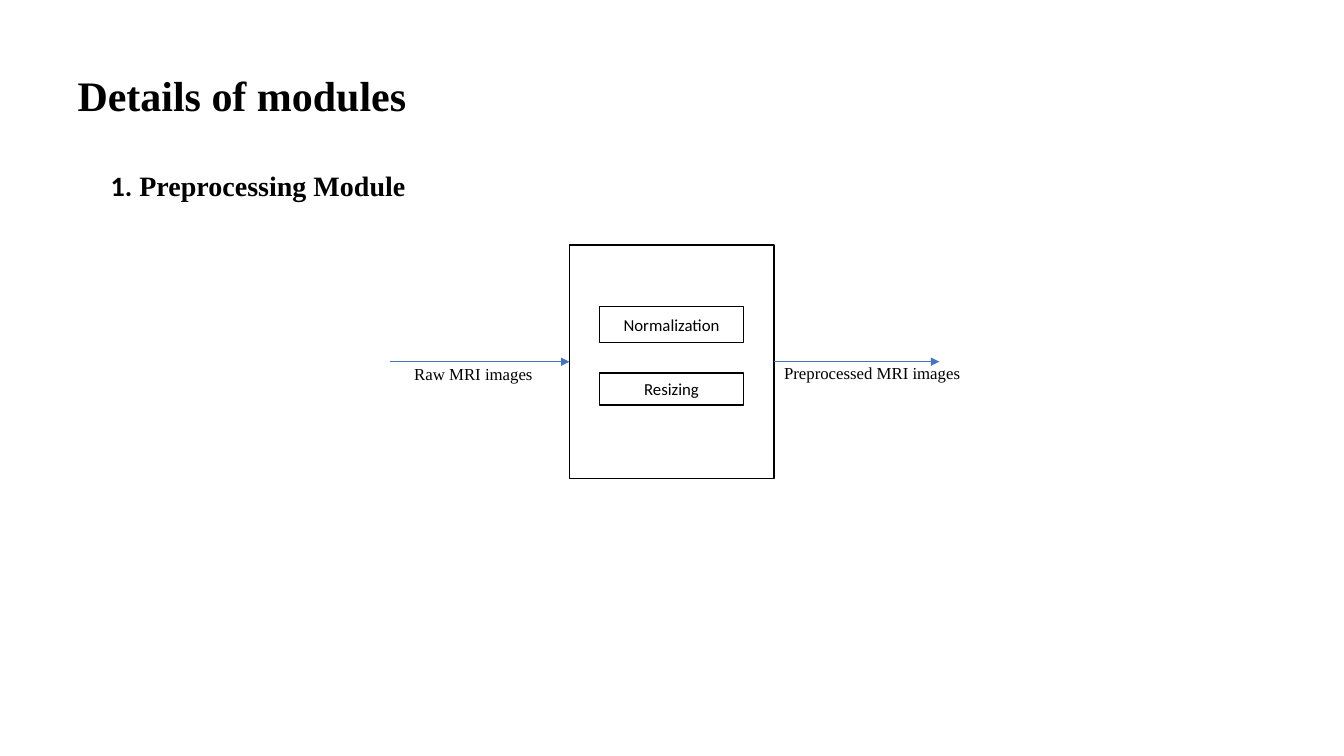
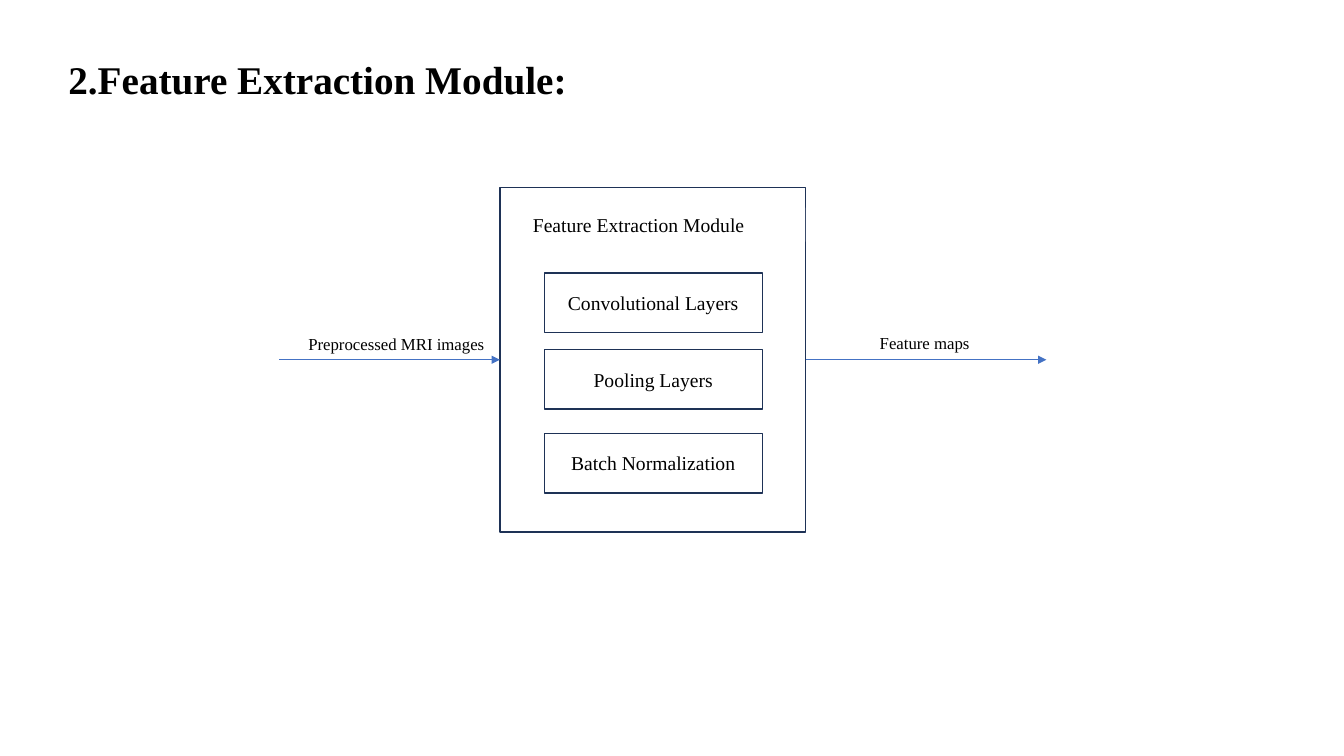
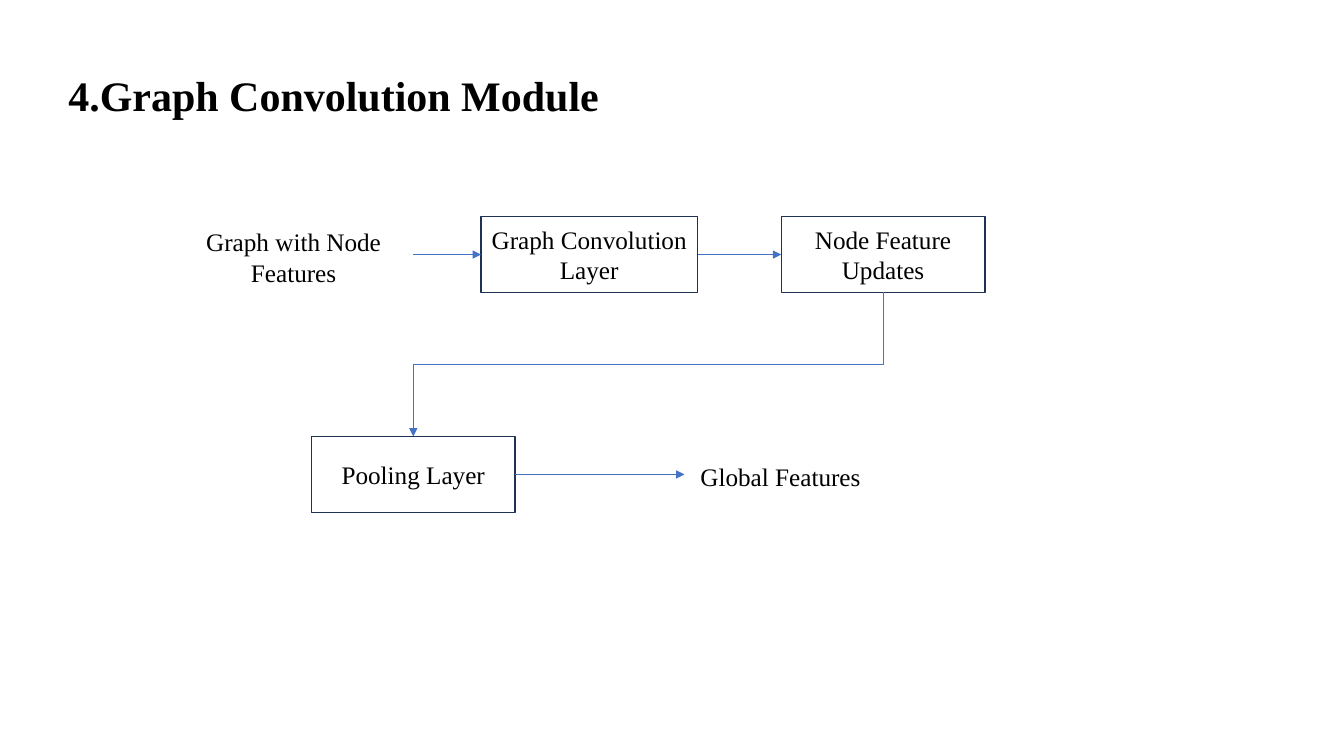
from lxml import etree
from pptx import Presentation
from pptx.dml.color import RGBColor
from pptx.enum import shapes, text as text_enum
from pptx.oxml import ns
from pptx.util import Cm, Pt

# Shared style
SERIF, SANS = "Times New Roman", "Calibri"
BLACK, WHITE, NAVY, BLUE = "000000", "FFFFFF", "1E3256", "4472C4"
LEFT, CENTER = text_enum.PP_ALIGN.LEFT, text_enum.PP_ALIGN.CENTER
TOP, MIDDLE = text_enum.MSO_ANCHOR.TOP, text_enum.MSO_ANCHOR.MIDDLE
SIDE_TOP, SIDE_LEFT, SIDE_BOTTOM, SIDE_RIGHT = range(4)


def color(hex_string):
    return RGBColor.from_string(hex_string)


# Text
def add_run(paragraph, content, *, size, font=SERIF, bold=False):
    run = paragraph.add_run()
    run.text = content
    run.font.name = font
    run.font.size = Pt(size)
    run.font.bold = bold
    run.font.color.rgb = color(BLACK)


def write(shape, content, *, align=LEFT, anchor=TOP, **run_format):
    frame = shape.text_frame
    frame.word_wrap = True
    frame.auto_size = text_enum.MSO_AUTO_SIZE.NONE
    frame.vertical_anchor = anchor
    paragraph = frame.paragraphs[0]
    paragraph.alignment = align
    add_run(paragraph, content, **run_format)
    return paragraph


def add_label(slide, area, content, **text_format):
    label = slide.shapes.add_textbox(*map(Cm, area))
    return write(label, content, **text_format)


def add_titled_slide(presentation, title, area, size=30):
    slide = presentation.slides.add_slide(presentation.slide_layouts[5])
    placeholder = slide.shapes.title
    placeholder.left, placeholder.top, placeholder.width, placeholder.height = map(Cm, area)
    write(placeholder, title, size=size, bold=True)
    return slide


# Boxes and arrows
def add_box(slide, area, content="", line=NAVY, align=CENTER, anchor=MIDDLE, **run_format):
    box = slide.shapes.add_shape(shapes.MSO_SHAPE.RECTANGLE, *map(Cm, area))
    box.shadow.inherit = False
    box.fill.solid()
    box.fill.fore_color.rgb = color(WHITE)
    if line:
        box.line.color.rgb = color(line)
        box.line.width = Pt(1)
    else:
        box.line.fill.background()
    if content:
        write(box, content, align=align, anchor=anchor, **run_format)
    return box


def add_styled_connector(slide, kind, begin_x, begin_y, end_x, end_y):
    connector = slide.shapes.add_connector(kind, begin_x, begin_y, end_x, end_y)
    connector.line.color.rgb = color(BLUE)
    connector.line.width = Pt(0.5)
    head = etree.SubElement(connector.line._get_or_add_ln(), ns.qn("a:tailEnd"))
    head.set("type", "triangle")
    etree.SubElement(connector.element.spPr, ns.qn("a:effectLst"))
    return connector


def add_arrow(slide, source, target):
    """Horizontal arrow; each end is a box or a free x position in cm."""
    source_is_box, target_is_box = hasattr(source, "left"), hasattr(target, "left")
    box = source if source_is_box else target
    y = box.top + box.height // 2
    begin_x = source.left + source.width if source_is_box else Cm(source)
    end_x = target.left if target_is_box else Cm(target)
    arrow = add_styled_connector(slide, shapes.MSO_CONNECTOR.STRAIGHT, begin_x, y, end_x, y)
    if source_is_box:
        arrow.begin_connect(source, SIDE_RIGHT)
    if target_is_box:
        arrow.end_connect(target, SIDE_LEFT)


def add_return_arrow(slide, source, target):
    """Elbow from the bottom of source, down and left to the top of target."""
    begin_x, begin_y = source.left + source.width // 2, source.top + source.height
    end_x, end_y = target.left + target.width // 2, target.top
    arrow = add_styled_connector(slide, shapes.MSO_CONNECTOR.ELBOW, begin_x, begin_y, end_x, end_y)
    arrow.begin_connect(source, SIDE_BOTTOM)
    arrow.end_connect(target, SIDE_TOP)
    # A quarter turn about the centre makes the elbow leave vertically
    drop, run = end_y - begin_y, begin_x - end_x
    arrow.left = (begin_x + end_x - drop) // 2
    arrow.top = (begin_y + end_y - run) // 2
    arrow.width, arrow.height = drop, run
    transform = arrow.element.spPr.xfrm
    transform.flipH = False
    transform.set("rot", str(90 * 60000))


# Slides
def build_preprocessing(presentation):
    slide = add_titled_slide(presentation, "Details of modules", (1.7, 1.63, 12, 1.55))
    subtitle = add_label(slide, (2.54, 4.11, 11.15, 1.12), "1.", size=20, font=SANS, bold=True)
    add_run(subtitle, " Preprocessing Module", size=20, bold=True)
    module = add_box(slide, (14.35, 6.17, 5.16, 5.89), line=BLACK)
    for content, top, height in (("Normalization", 7.72, 0.91), ("Resizing", 9.4, 0.81)):
        add_box(slide, (15.11, top, 3.63, height), content, line=BLACK, size=12, font=SANS)
    add_arrow(slide, 9.83, module)
    add_arrow(slide, module, 23.67)
    add_label(slide, (10.19, 9.04, 3.73, 0.76), "Raw MRI images", size=12)
    add_label(slide, (19.51, 9.02, 5.74, 0.76), "Preprocessed MRI images", size=12)


def build_feature_extraction(presentation):
    slide = add_titled_slide(presentation, "2.Feature Extraction Module:",
                             (1.47, 1.27, 15.77, 1.45), size=28)
    module = add_box(slide, (12.6, 4.72, 7.7, 8.69))
    add_box(slide, (13.18, 5.23, 7.11, 0.86), "Feature Extraction Module",
            line=None, align=LEFT, anchor=TOP, size=14)
    layers = (("Convolutional Layers", 6.88), ("Pooling Layers", 8.81),
              ("Batch Normalization", 10.92))
    for content, top in layers:
        add_box(slide, (13.72, top, 5.49, 1.5), content, size=14)
    add_arrow(slide, 7.04, module)
    add_arrow(slide, module, 26.37)
    add_label(slide, (7.52, 8.28, 5.05, 1.27), "Preprocessed MRI images", size=12)
    add_label(slide, (21.92, 8.26, 5.18, 0.76), "Feature maps", size=12)


def build_graph_convolution(presentation):
    slide = add_titled_slide(presentation, "4.Graph Convolution Module", (1.47, 1.63, 14.86, 1.55))
    pooling = add_box(slide, (7.85, 11, 5.13, 1.91), "Pooling Layer", size=18)
    updates = add_box(slide, (19.69, 5.46, 5.13, 1.91), "Node Feature Updates", size=18)
    convolution = add_box(slide, (12.12, 5.46, 5.46, 1.91), "Graph Convolution Layer", size=18)
    add_arrow(slide, 10.41, convolution)
    add_arrow(slide, convolution, updates)
    add_return_arrow(slide, updates, pooling)
    add_arrow(slide, pooling, 17.25)
    add_label(slide, (3.96, 5.59, 6.88, 1.8), "Graph with Node Features", align=CENTER, size=18)
    add_label(slide, (17.27, 11.51, 4.8, 1.02), "Global Features", align=CENTER, size=18)


def main():
    presentation = Presentation()
    presentation.slide_width, presentation.slide_height = Cm(33.87), Cm(19.05)
    build_preprocessing(presentation)
    build_feature_extraction(presentation)
    build_graph_convolution(presentation)
    presentation.save("out.pptx")


if __name__ == "__main__":
    main()
